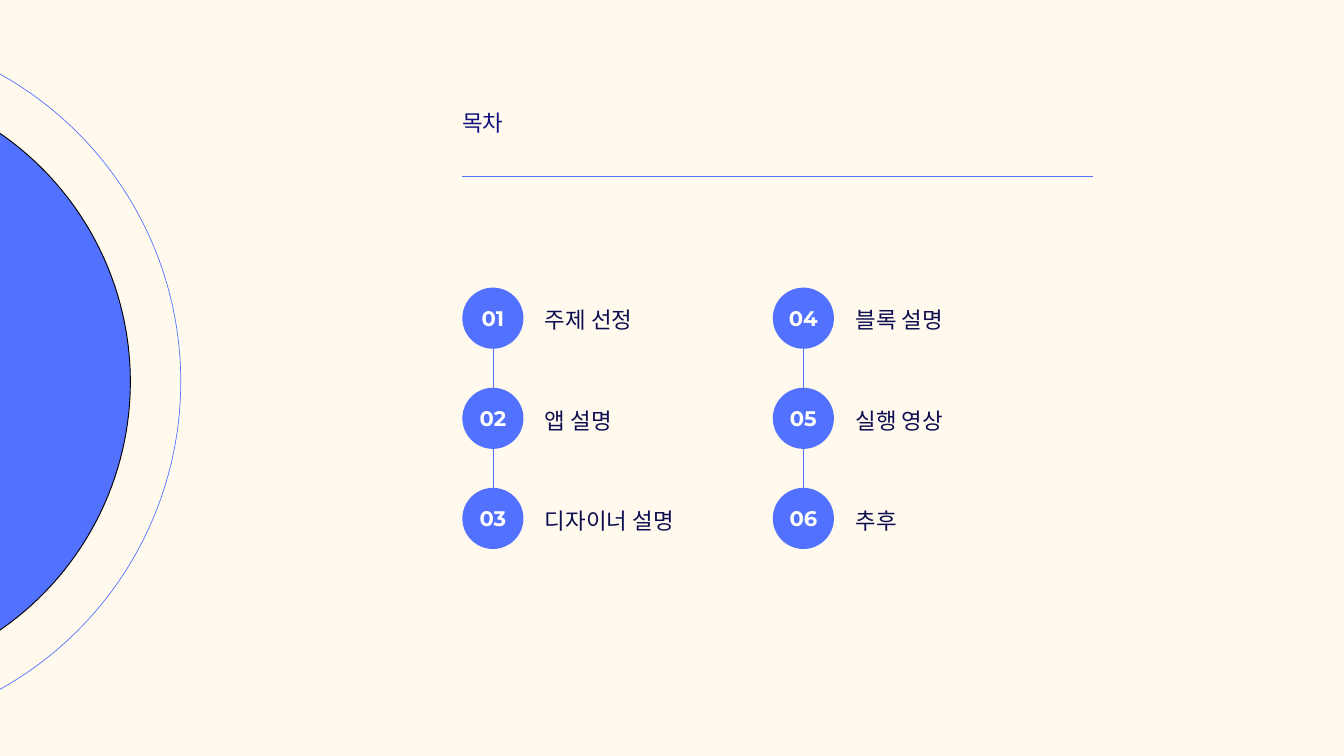
"""Builds a contents slide with two chains of numbered topics."""
from lxml import etree
from pptx import Presentation, util as u
from pptx.dml.color import RGBColor
from pptx.enum import shapes, text
from pptx.oxml.ns import qn

TITLE = "목차"
COLS = [
    (6.88, ["주제 선정", "앱 설명", "디자이너 설명"]),
    (11.5, ["블록 설명", "실행 영상", "추후"]),
]
THEME = {
    "back": "FFFAED", "blue": "5271FF", "black": "000000",
    "title": "12127D", "label": "0D0D50", "white": "FFFFFF",
    "sans": "Montserrat", "hangul": "Noto Sans CJK KR",
    "size": 24, "num": 22.6,
}
TOP, STEP, DOT = 4.28, 1.49, 0.91
HUB = (-2.55, 5.68)


def rgb(name):
    """Return a theme colour."""
    return RGBColor.from_string(THEME[name])


def place(shape, x, y, w, h):
    """Move and size a shape in inches."""
    shape.left, shape.top = u.Inches(x), u.Inches(y)
    shape.width, shape.height = u.Inches(w), u.Inches(h)


def write(shape, words, color="label", size="size", font="hangul", bold=False,
          lead=33.6, align=text.PP_ALIGN.LEFT, anchor=text.MSO_ANCHOR.TOP):
    """Put formatted text into a shape without insets."""
    frame = shape.text_frame
    frame.word_wrap = True
    frame.auto_size = text.MSO_AUTO_SIZE.NONE
    frame.vertical_anchor = anchor
    frame.margin_left = frame.margin_right = 0
    frame.margin_top = frame.margin_bottom = 0
    para = frame.paragraphs[0]
    para.alignment, para.line_spacing = align, u.Pt(lead)
    para.space_before = u.Pt(0)
    run = para.add_run()
    run.text = words
    face = run.font
    face.name, face.size, face.bold = THEME[font], u.Pt(THEME[size]), bold
    face.color.rgb = rgb(color)
    east = etree.SubElement(run._r.get_or_add_rPr(), qn("a:ea"))
    east.set("typeface", THEME[font])


def disc(slide, mid, size, fill=None, line=None, width=0.75):
    """Add a circle around a midpoint."""
    x, y = mid
    shape = slide.shapes.add_shape(
        shapes.MSO_SHAPE.OVAL, u.Inches(x - size / 2), u.Inches(y - size / 2),
        u.Inches(size), u.Inches(size))
    shape.shadow.inherit = False
    if fill:
        shape.fill.solid()
        shape.fill.fore_color.rgb = rgb(fill)
    else:
        shape.fill.background()
    if line:
        shape.line.color.rgb = rgb(line)
        shape.line.width = u.Pt(width)
    else:
        shape.line.fill.background()
    return shape


def rule(slide, *ends):
    """Add a thin straight line."""
    line = slide.shapes.add_connector(
        shapes.MSO_CONNECTOR.STRAIGHT, *map(u.Inches, ends))
    line.line.color.rgb = rgb("blue")
    line.line.width = u.Pt(0.75)
    etree.SubElement(line._element.spPr, qn("a:effectLst"))


def chain(slide, left, topics, first):
    """Add a column of joined numbers with their topics."""
    x, y = left + DOT / 2, TOP + DOT / 2
    rule(slide, x, y, x, y + STEP * (len(topics) - 1))
    for row, topic in enumerate(topics):
        mid = y + STEP * row
        dot = disc(slide, (x, mid), DOT, fill="blue")
        write(dot, f"{first + row:02}", color="white", size="num", font="sans",
              bold=True, lead=27.2, align=text.PP_ALIGN.CENTER,
              anchor=text.MSO_ANCHOR.MIDDLE)
        label = slide.shapes.add_textbox(0, 0, 0, 0)
        place(label, left + 1.23, mid - 0.24, 2.63, 0.45)
        write(label, topic)


def main():
    """Build and save the slide."""
    deck = Presentation()
    deck.slide_width, deck.slide_height = u.Inches(20), u.Inches(11.25)
    slide = deck.slides.add_slide(deck.slide_layouts[5])
    slide.background.fill.solid()
    slide.background.fill.fore_color.rgb = rgb("back")
    title = slide.shapes.title
    place(title, 6.88, 1.62, 3.44, 0.41)
    write(title, TITLE, color="title", lead=28.8)
    rule(slide, 6.88, 2.62, 16.26, 2.62)
    disc(slide, HUB, 8.98, fill="blue", line="black", width=1)
    disc(slide, HUB, 10.48, line="blue")
    first = 1
    for left, topics in COLS:
        chain(slide, left, topics, first)
        first += len(topics)
    deck.save("out.pptx")


if __name__ == "__main__":
    main()
